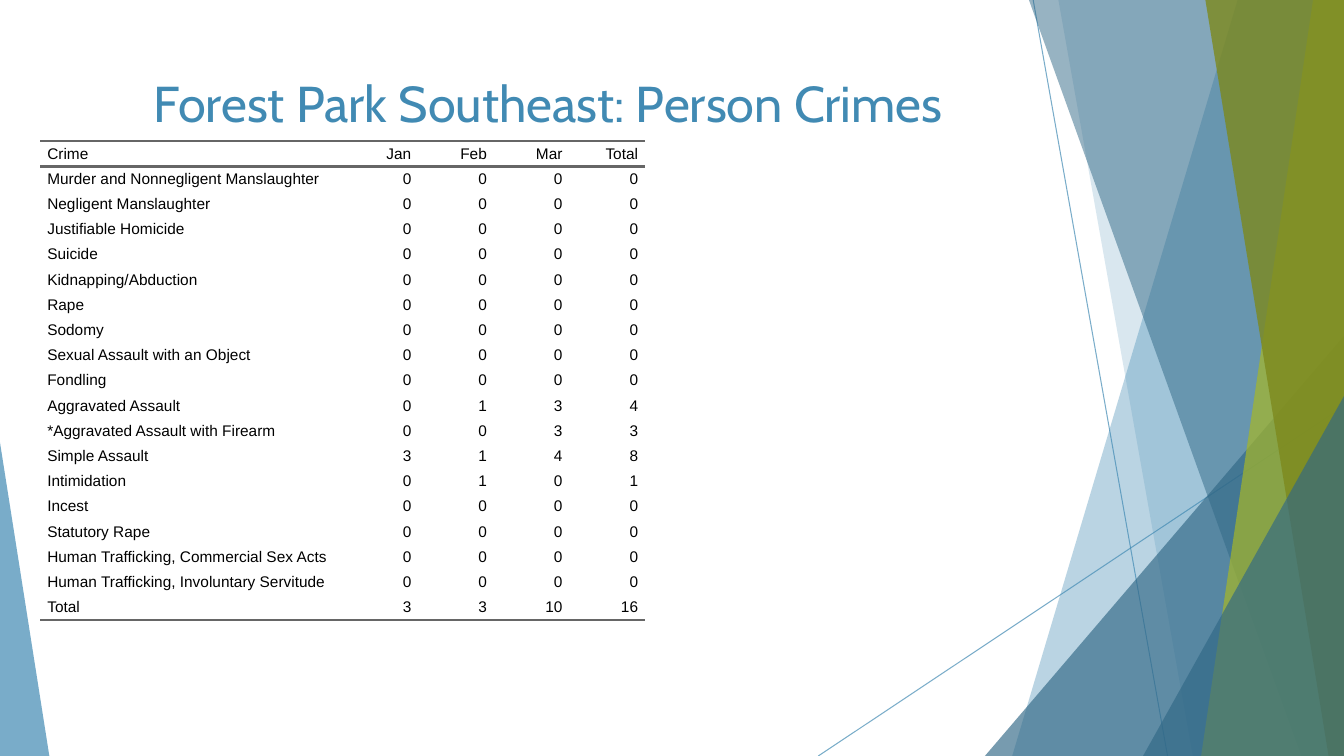
from lxml import etree
from pptx import Presentation
from pptx.dml.color import RGBColor
from pptx.enum.shapes import MSO_CONNECTOR, MSO_SHAPE
from pptx.enum.text import MSO_ANCHOR, PP_ALIGN
from pptx.oxml.ns import qn
from pptx.util import Pt

WIDTH, HEIGHT = 960, 540
BLUE = RGBColor(0x41, 0x8A, 0xB3)
DARK_BLUE = RGBColor(0x31, 0x68, 0x86)
LIME = RGBColor(0xA6, 0xB7, 0x27)
OLIVE = RGBColor(0x7D, 0x89, 0x1D)
BLACK = RGBColor(0x00, 0x00, 0x00)
RULE_GRAY = RGBColor(0x66, 0x66, 0x66)

NO_GRID_STYLE = "{2D5ABB26-0587-4C30-8999-92F81FD0307C}"
COLUMN_WIDTHS = [216, 54, 54, 54, 54]
ROW_HEIGHT = 18
HEADER = ["Crime", "Jan", "Feb", "Mar", "Total"]
CRIMES = [
    ("Murder and Nonnegligent Manslaughter", 0, 0, 0),
    ("Negligent Manslaughter", 0, 0, 0),
    ("Justifiable Homicide", 0, 0, 0),
    ("Suicide", 0, 0, 0),
    ("Kidnapping/Abduction", 0, 0, 0),
    ("Rape", 0, 0, 0),
    ("Sodomy", 0, 0, 0),
    ("Sexual Assault with an Object", 0, 0, 0),
    ("Fondling", 0, 0, 0),
    ("Aggravated Assault", 0, 1, 3),
    ("*Aggravated Assault with Firearm", 0, 0, 3),
    ("Simple Assault", 3, 1, 4),
    ("Intimidation", 0, 1, 0),
    ("Incest", 0, 0, 0),
    ("Statutory Rape", 0, 0, 0),
    ("Human Trafficking, Commercial Sex Acts", 0, 0, 0),
    ("Human Trafficking, Involuntary Servitude", 0, 0, 0),
    ("Total", 3, 3, 10),
]


def set_opacity(element, percent):
    color = next(element.iter(qn("a:srgbClr")))
    etree.SubElement(color, qn("a:alpha"), val=str(percent * 1000))


def paint(shape, color, opacity):
    shape.shadow.inherit = False
    shape.fill.solid()
    shape.fill.fore_color.rgb = color
    shape.line.fill.background()
    set_opacity(shape._element.spPr, opacity)


def add_thin_line(slide, start, end):
    line = slide.shapes.add_connector(
        MSO_CONNECTOR.STRAIGHT, *(Pt(value) for value in start + end))
    line.line.color.rgb = BLUE
    line.line.width = Pt(0.75)
    properties = line._element.spPr
    set_opacity(properties, 70)
    etree.SubElement(properties, qn("a:effectLst"))


def add_band(slide, top_left, top_right, bottom_right, bottom_left, color, opacity):
    """Full-height band given by the x positions of its corners."""
    builder = slide.shapes.build_freeform(Pt(top_left), 0)
    builder.add_line_segments([
        (Pt(top_right), 0),
        (Pt(bottom_right), Pt(HEIGHT)),
        (Pt(bottom_left), Pt(HEIGHT)),
    ], close=True)
    paint(builder.convert_to_shape(), color, opacity)


def add_corner(slide, left, top, width, apex, color, opacity):
    """Triangle standing on the bottom edge of the slide."""
    triangle = slide.shapes.add_shape(
        MSO_SHAPE.ISOSCELES_TRIANGLE, Pt(left), Pt(top), Pt(width), Pt(HEIGHT - top))
    triangle.adjustments[0] = apex
    paint(triangle, color, opacity)


def add_decoration(slide):
    add_thin_line(slide, (738, 0), (834, HEIGHT))
    add_thin_line(slide, (WIDTH, 290), (584.5, HEIGHT))
    add_band(slide, 884, WIDTH, WIDTH, 723, BLUE, 36)
    add_band(slide, 756, WIDTH, WIDTH, 852, BLUE, 20)
    add_corner(slide, 703.5, 240, 256.5, 1, DARK_BLUE, 66)
    add_band(slide, 735, WIDTH, WIDTH, 929.5, DARK_BLUE, 50)
    add_band(slide, 938, WIDTH, WIDTH, 858, LIME, 70)
    add_band(slide, 861, WIDTH, WIDTH, 949, OLIVE, 80)
    add_corner(slide, 816.5, 283, 143.5, 1, DARK_BLUE, 66)
    add_corner(slide, 0, 316, 35.25, 0, BLUE, 70)


def add_rule(cell, tag):
    border = etree.Element(qn(tag), w=str(Pt(2)))
    fill = etree.SubElement(border, qn("a:solidFill"))
    etree.SubElement(fill, qn("a:srgbClr"), val=str(RULE_GRAY))
    return border


def set_rules(cell, tags):
    # Borders come before the fill in the cell properties
    for position, tag in enumerate(tags):
        cell._tc.get_or_add_tcPr().insert(position, add_rule(cell, tag))


def fill_cell(cell, text, alignment):
    cell.margin_left = cell.margin_right = cell.margin_top = cell.margin_bottom = 0
    cell.vertical_anchor = MSO_ANCHOR.MIDDLE
    cell.fill.background()
    cell.text_frame.text = text
    paragraph = cell.text_frame.paragraphs[0]
    paragraph.alignment = alignment
    paragraph.space_after = Pt(5)
    properties = paragraph._p.get_or_add_pPr()
    properties.set("marL", str(Pt(5)))
    properties.set("marR", str(Pt(5)))
    properties.set("indent", "0")
    font = paragraph.runs[0].font
    font.name = "Arial"
    font.size = Pt(11)
    font.color.rgb = BLACK


def add_crime_table(slide):
    rows = [HEADER] + [[*crime, sum(crime[1:])] for crime in CRIMES]
    frame = slide.shapes.add_table(
        len(rows), len(HEADER), Pt(28.8), Pt(100.8),
        Pt(sum(COLUMN_WIDTHS)), Pt(ROW_HEIGHT * len(rows)))
    table = frame.table
    table.first_row = table.horz_banding = False
    table._tbl.tblPr.find(qn("a:tableStyleId")).text = NO_GRID_STYLE
    for column, width in zip(table.columns, COLUMN_WIDTHS):
        column.width = Pt(width)
    rules = {0: ["a:lnT", "a:lnB"], len(rows) - 1: ["a:lnB"]}
    for row_index, row in enumerate(rows):
        table.rows[row_index].height = Pt(ROW_HEIGHT)
        for column_index, value in enumerate(row):
            cell = table.cell(row_index, column_index)
            alignment = PP_ALIGN.RIGHT if column_index else PP_ALIGN.LEFT
            fill_cell(cell, str(value), alignment)
            set_rules(cell, rules.get(row_index, []))


def add_title(slide, text):
    box = slide.shapes.add_textbox(Pt(53.3), Pt(48.2), Pt(676.8), Pt(103.7))
    box.text_frame.word_wrap = True
    box.text_frame.vertical_anchor = MSO_ANCHOR.TOP
    box.text_frame.text = text
    paragraph = box.text_frame.paragraphs[0]
    paragraph.alignment = PP_ALIGN.CENTER
    font = paragraph.runs[0].font
    font.name = "Cabin"
    font.size = Pt(36)
    font.color.rgb = BLUE


def main():
    presentation = Presentation()
    presentation.slide_width = Pt(WIDTH)
    presentation.slide_height = Pt(HEIGHT)
    slide = presentation.slides.add_slide(presentation.slide_layouts[6])
    # Angled bands behind the content
    add_decoration(slide)
    # Monthly counts
    add_crime_table(slide)
    # Heading
    add_title(slide, "Forest Park Southeast: Person Crimes")
    presentation.save("out.pptx")


if __name__ == "__main__":
    main()
